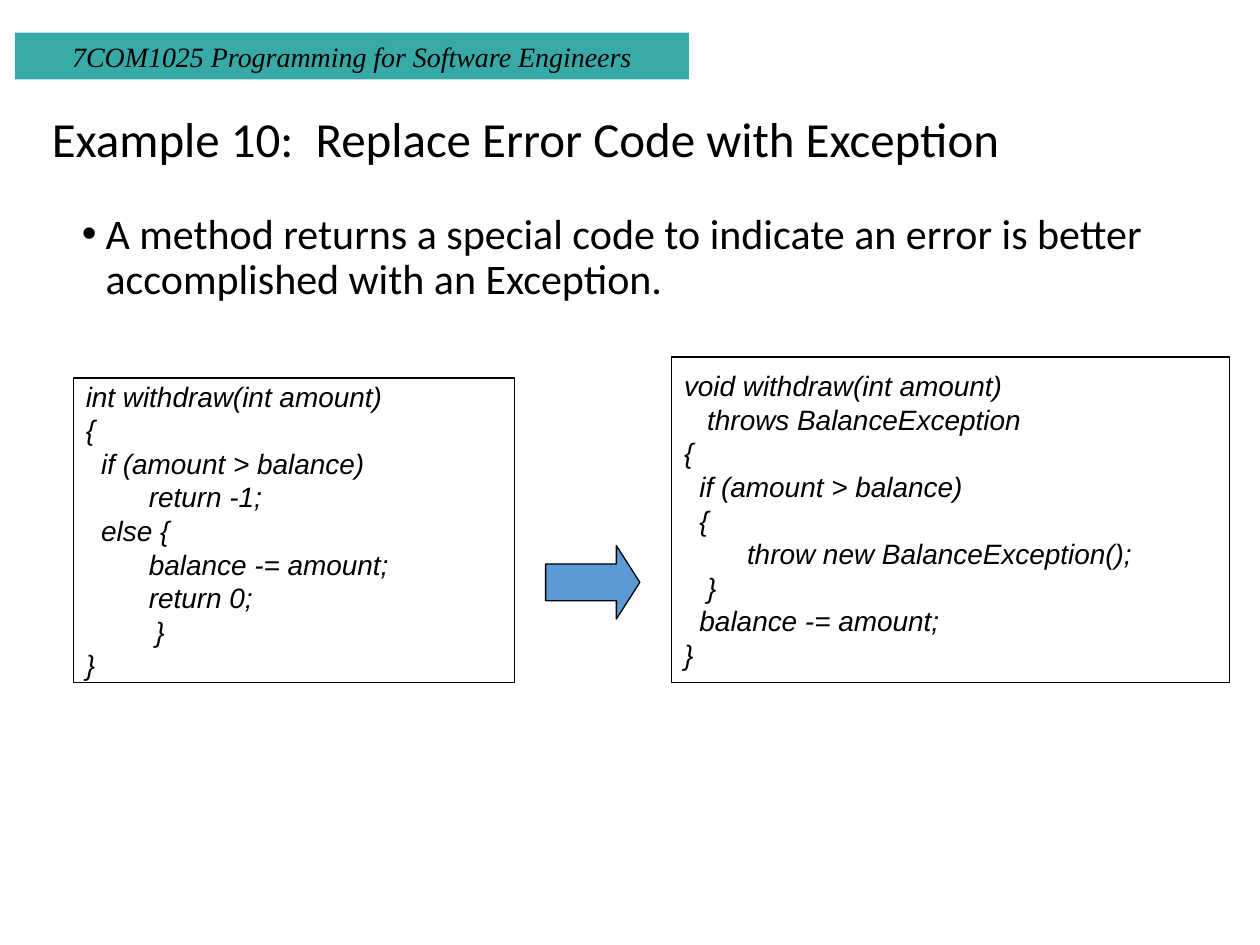
from lxml import etree
from pptx import Presentation
from pptx import util as u
from pptx.dml.color import RGBColor
from pptx.enum import shapes, text
from pptx.oxml import ns

BLACK = RGBColor(0x00, 0x00, 0x00)
TEAL = RGBColor(0x37, 0xAA, 0xA7)
BLUE = RGBColor(0x5B, 0x9B, 0xD5)

OLD = """int withdraw(int amount)
{
  if (amount > balance)
\treturn -1;
  else {
\tbalance -= amount;
\treturn 0;
         }
}"""

NEW = """void withdraw(int amount)
   throws BalanceException
{
  if (amount > balance)
  {
 \tthrow new BalanceException();
   }
  balance -= amount;
}"""


def place(left, top, width, height):
    """Turn centimetres into lengths."""
    return [u.Cm(n) for n in (left, top, width, height)]


def write(para, words, size, face, slant=False):
    """Add one formatted run to a paragraph."""
    run = para.add_run()
    run.text = words
    font = run.font
    font.size, font.name, font.italic = u.Pt(size), face, slant
    font.color.rgb = BLACK


def add_form(slide, kind, box, fill=None, edge=None):
    """Add a flat preset shape."""
    form = slide.shapes.add_shape(kind, *place(*box))
    form.shadow.inherit = False
    if fill is None:
        form.fill.background()
    else:
        form.fill.solid()
        form.fill.fore_color.rgb = fill
    if edge is None:
        form.line.fill.background()
    else:
        form.line.color.rgb = edge
        form.line.width = u.Pt(0.75)
    return form


def add_banner(slide, words, box):
    """Add the coloured course banner."""
    form = add_form(slide, shapes.MSO_SHAPE.RECTANGLE, box, TEAL)
    para = form.text_frame.paragraphs[0]
    para.alignment = text.PP_ALIGN.CENTER
    write(para, words, 16, "Times New Roman", True)


def set_title(slide, words, box):
    """Move and fill the title placeholder."""
    title = slide.shapes.title
    title.left, title.top, title.width, title.height = place(*box)
    frame = title.text_frame
    frame.vertical_anchor = text.MSO_ANCHOR.MIDDLE
    para = frame.paragraphs[0]
    para.alignment = text.PP_ALIGN.LEFT
    para.line_spacing = 0.9
    write(para, words, 28, "Calibri")


def add_point(slide, words, box):
    """Add a bulleted statement."""
    frame = slide.shapes.add_textbox(*place(*box)).text_frame
    frame.word_wrap = True
    para = frame.paragraphs[0]
    para.line_spacing = 0.9
    props = para._p.get_or_add_pPr()
    props.set("marL", str(u.Cm(0.48)))
    props.set("indent", str(u.Cm(-0.48)))
    etree.SubElement(props, ns.qn("a:buFont"), typeface="Arial")
    etree.SubElement(props, ns.qn("a:buChar"), char="•")
    write(para, words, 24, "Calibri")


def add_code(slide, code, box):
    """Add a framed code listing."""
    form = add_form(slide, shapes.MSO_SHAPE.RECTANGLE, box, edge=BLACK)
    frame = form.text_frame
    frame.word_wrap = True
    frame.vertical_anchor = text.MSO_ANCHOR.MIDDLE
    for i, line in enumerate(code.split("\n")):
        para = frame.add_paragraph() if i else frame.paragraphs[0]
        para.alignment = text.PP_ALIGN.LEFT
        write(para, line, 16, "Arial", True)


def add_arrow(slide, box):
    """Add the block arrow between the listings."""
    form = add_form(slide, shapes.MSO_SHAPE.RIGHT_ARROW, box, BLUE, BLACK)
    form.adjustments[0] = 0.5
    form.adjustments[1] = 0.32


def main():
    """Build and save the slide."""
    deck = Presentation()
    deck.slide_width, deck.slide_height = u.Cm(25.4), u.Cm(19.05)
    slide = deck.slides.add_slide(deck.slide_layouts[5])
    add_banner(slide, "7COM1025 Programming for Software Engineers",
               (0.3, 0.66, 13.59, 0.94))
    set_title(slide, "Example 10:  Replace Error Code with Exception",
              (0.79, 1.02, 23.62, 3.68))
    add_point(slide, "A method returns a special code to indicate an error "
              "is better accomplished with an Exception.",
              (1.4, 4.17, 21.9, 2.77))
    add_code(slide, OLD, (1.48, 7.62, 8.89, 6.14))
    add_arrow(slide, (11, 11, 1.9, 1.48))
    add_code(slide, NEW, (13.54, 7.2, 11.25, 6.56))
    deck.save("out.pptx")


if __name__ == "__main__":
    main()
